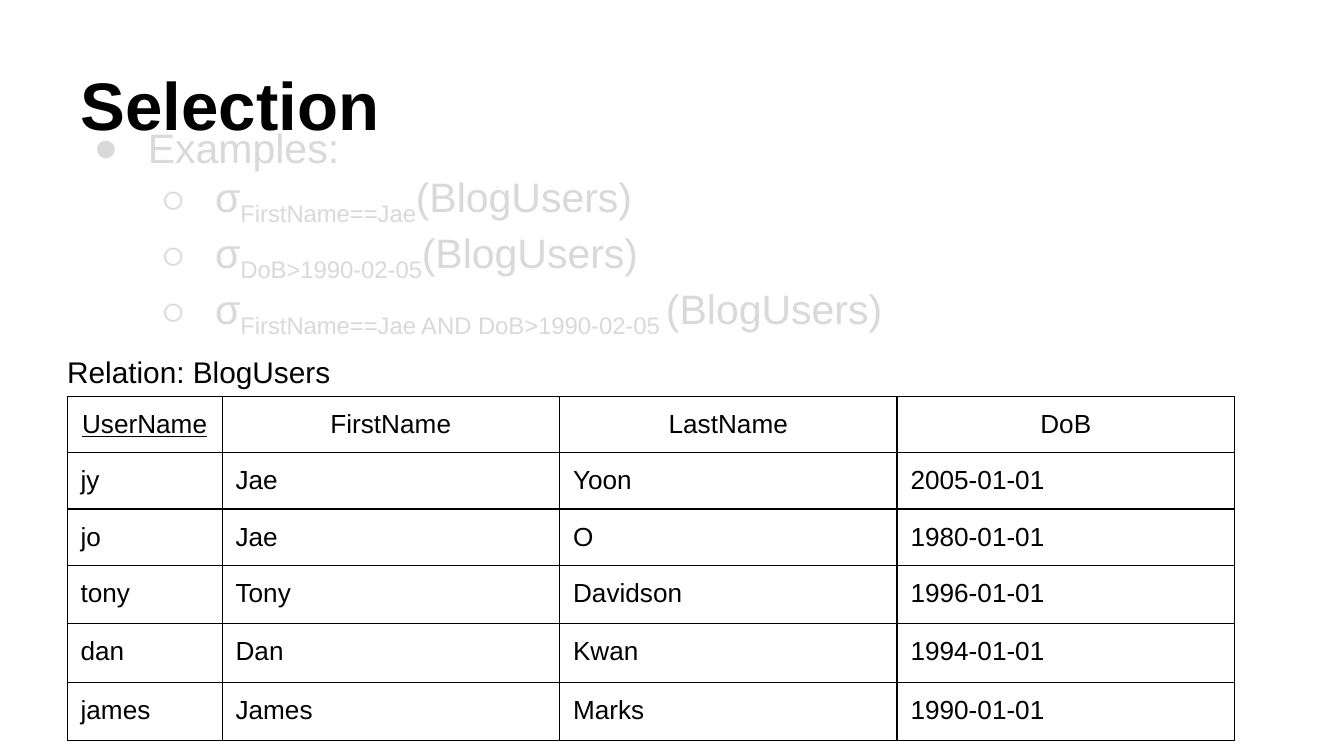
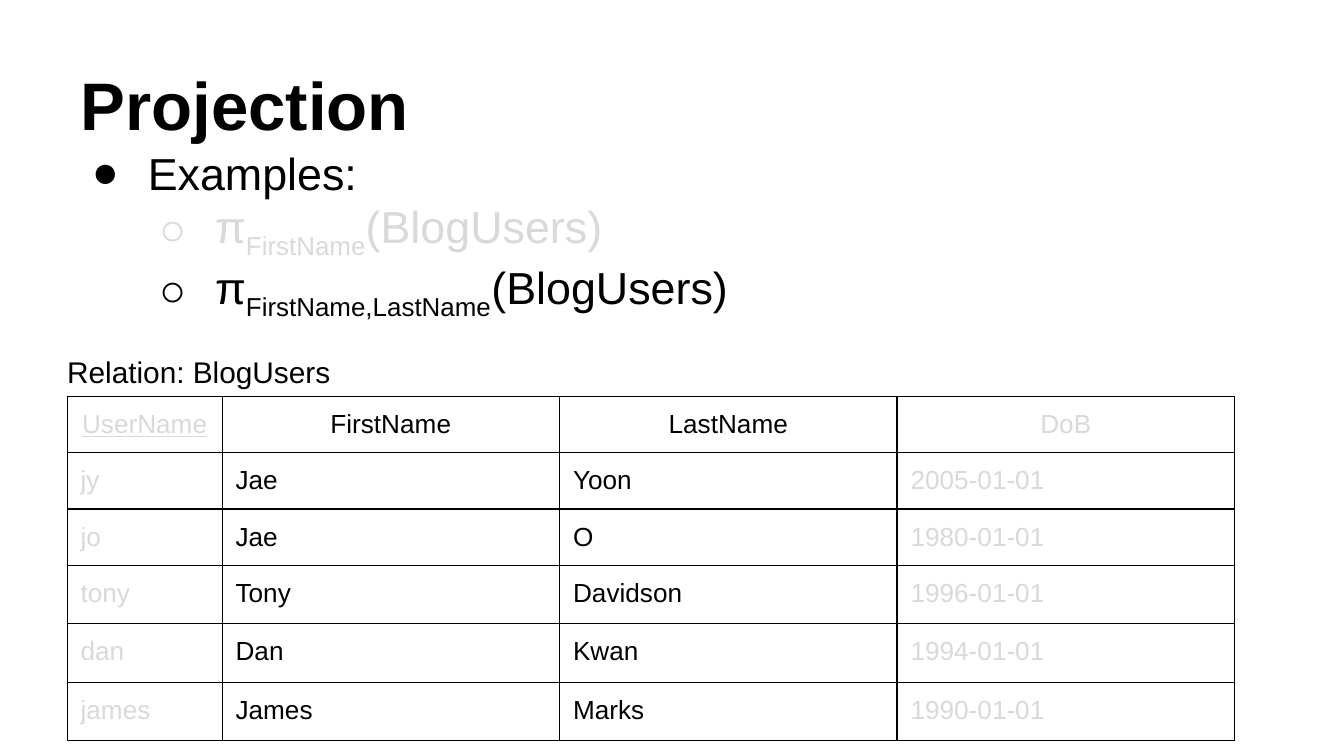
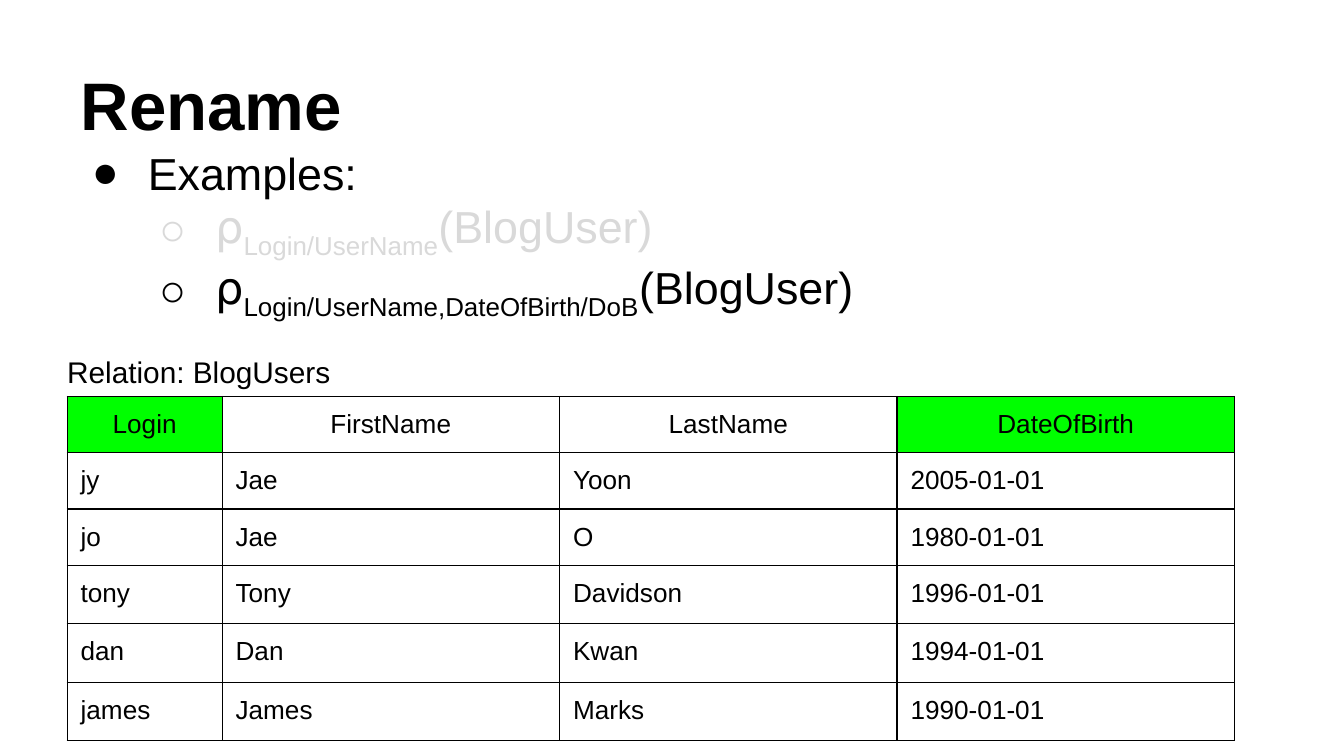
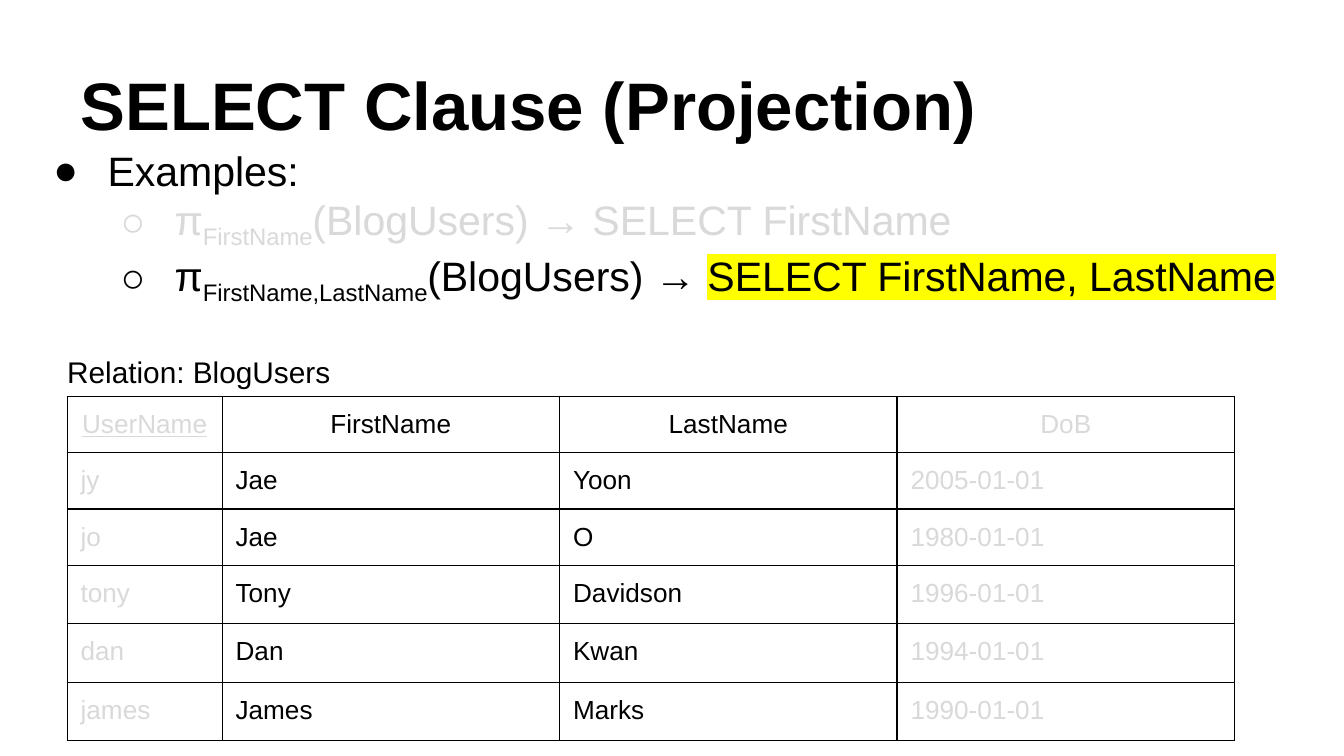
import lxml.etree
import pptx
import pptx.dml.color
import pptx.enum.text
import pptx.oxml.ns
import pptx.util

Pt = pptx.util.Pt
qn = pptx.oxml.ns.qn
Align = pptx.enum.text.PP_ALIGN
Anchor = pptx.enum.text.MSO_ANCHOR

FONT = "Arial"
BLACK, GREY, GREEN, YELLOW = "000000", "D9D9D9", "00FF00", "FFFF00"
INSET = 7.2
TITLE_BOX = (36, 16.6, 648, 67.7)
CAPTION_BOX = (28.8, 182.2, 187.2, 43.9)
TABLE_ORIGIN = (36, 212.4)
COLUMN_WIDTHS = (83, 180.8, 180.8, 180.8)
ROW_HEIGHTS = (30, 30, 30, 31.3, 31.3, 31.3)
HEADER = ("UserName", "FirstName", "LastName", "DoB")
USERS = (
    ("jy", "Jae", "Yoon", "2005-01-01"),
    ("jo", "Jae", "O", "1980-01-01"),
    ("tony", "Tony", "Davidson", "1996-01-01"),
    ("dan", "Dan", "Kwan", "1994-01-01"),
    ("james", "James", "Marks", "1990-01-01"),
)

PROJECTED = {"muted_columns": (0, 3)}
PAGES = (
    {
        "title": "Selection",
        "box": (36, 58.3, 657.4, 126),
        "size": 22,
        "lead_color": GREY,
        "list_behind": True,
        "formulas": (
            (GREY, "σ", "FirstName==Jae", "(BlogUsers)", ""),
            (GREY, "σ", "DoB>1990-02-05", "(BlogUsers)", ""),
            (GREY, "σ", "FirstName==Jae AND DoB>1990-02-05 ", "(BlogUsers)", ""),
        ),
        "table": {},
    },
    {
        "title": "Projection",
        "box": (36, 70.6, 657.4, 111.6),
        "size": 24,
        "formulas": (
            (GREY, "π", "FirstName", "(BlogUsers)", ""),
            (BLACK, "π", "FirstName,LastName", "(BlogUsers)", ""),
        ),
        "table": PROJECTED,
    },
    {
        "title": "Rename",
        "box": (36, 70.6, 657.4, 293),
        "size": 24,
        "formulas": (
            (GREY, "⍴", "Login/UserName", "(BlogUser)", ""),
            (BLACK, "⍴", "Login/UserName,DateOfBirth/DoB", "(BlogUser)", ""),
        ),
        "table": {"renamed": {0: "Login", 3: "DateOfBirth"}},
    },
    {
        "title": "SELECT Clause (Projection)",
        "box": (14.4, 70.6, 698.4, 111.6),
        "size": 22,
        "formulas": (
            (GREY, "π", "FirstName", "(BlogUsers) → SELECT FirstName", ""),
            (BLACK, "π", "FirstName,LastName", "(BlogUsers) → ",
             "SELECT FirstName, LastName"),
        ),
        "table": PROJECTED,
    },
)


def rgb(color):
    """Turn a hex string into a colour value."""
    return pptx.dml.color.RGBColor.from_string(color)


def apply(target, values):
    """Set each named attribute on the target."""
    for name, value in values.items():
        setattr(target, name, value)


def add_child(parent, tag, **attributes):
    """Append a drawing element with the given attributes."""
    return lxml.etree.SubElement(parent, qn(tag), attributes)


def add_span(para, text, size, color, **extra):
    """Add a run in the deck font and return it."""
    span = para.add_run()
    span.text = text
    span.font.color.rgb = rgb(color)
    apply(span.font, {"name": FONT, "size": Pt(size), **extra})
    return span


def set_highlight(span, color):
    """Mark a run with a background colour."""
    fill = span.font._element.find(qn("a:solidFill"))
    highlight = lxml.etree.Element(qn("a:highlight"))
    add_child(highlight, "a:srgbClr", val=color)
    fill.addnext(highlight)


def set_bullet(para, level, hanging, mark=None, color=BLACK):
    """Give a paragraph its level, indent and bullet, or none."""
    props = para._element.get_or_add_pPr()
    margin = Pt(36 * (level + 1)) if mark else 0
    props.set("marL", str(margin))
    props.set("indent", str(-Pt(hanging)))
    if mark:
        add_child(add_child(props, "a:buClr"), "a:srgbClr", val=color)
        add_child(props, "a:buFont", typeface=FONT)
        add_child(props, "a:buChar", char=mark)
    else:
        add_child(props, "a:buNone")
    apply(para, {"level": level, "space_before": Pt(0), "alignment": Align.LEFT})


def place(holder, box, anchor=Anchor.TOP):
    """Move a placeholder to its box and return its text frame."""
    apply(holder, dict(zip(("left", "top", "width", "height"), map(Pt, box))))
    sides = ("left", "top", "right", "bottom")
    apply(holder.text_frame, {
        "auto_size": pptx.enum.text.MSO_AUTO_SIZE.NONE,
        "word_wrap": True,
        "vertical_anchor": anchor,
        **{f"margin_{side}": Pt(INSET) for side in sides},
    })
    return holder.text_frame


def fill_title(holder, box, text):
    """Write the page title at the bottom of its box."""
    para = place(holder, box, Anchor.BOTTOM).paragraphs[0]
    para.alignment = Align.LEFT
    add_span(para, text, 36, BLACK, bold=True)


def fill_examples(holder, box, size, lead_color, formulas):
    """Write the list of relational algebra formulas."""
    frame = place(holder, box)
    hanging = 30 if size == 24 else 29
    lead = frame.paragraphs[0]
    set_bullet(lead, 0, hanging, "●", lead_color)
    add_span(lead, "Examples:", size, lead_color)
    for color, operator, condition, operand, marked in formulas:
        para = frame.add_paragraph()
        set_bullet(para, 1, hanging, "○", color)
        add_span(para, operator, size, color)
        subscript = add_span(para, condition, size, color)
        subscript.font._element.set("baseline", "-25000")
        add_span(para, operand, size, color)
        if marked:
            set_highlight(add_span(para, marked, size, color), YELLOW)


def fill_caption(holder, box):
    """Name the relation above its table."""
    para = place(holder, box).paragraphs[0]
    set_bullet(para, 0, 0)
    add_span(para, "Relation: BlogUsers", 16, BLACK)


def style_cell(cell, fill):
    """Give a cell its margins, thin borders and fill."""
    sides = ("left", "top", "right", "bottom")
    apply(cell, {f"margin_{side}": Pt(INSET) for side in sides})
    props = cell._tc.get_or_add_tcPr()
    for tag in ("a:lnL", "a:lnR", "a:lnT", "a:lnB"):
        line = add_child(props, tag, w=str(Pt(0.75)))
        add_child(add_child(line, "a:solidFill"), "a:srgbClr", val=BLACK)
    if fill:
        cell.fill.solid()
        cell.fill.fore_color.rgb = rgb(fill)
    else:
        cell.fill.background()


def add_relation(page, origin, muted_columns=(), renamed=None):
    """Draw the user table, with muted or renamed columns."""
    renamed = renamed or {}
    header = [renamed.get(i, name) for i, name in enumerate(HEADER)]
    rows = (header, *USERS)
    size = (sum(COLUMN_WIDTHS), sum(ROW_HEIGHTS))
    frame = page.shapes.add_table(len(rows), len(header), *map(Pt, origin + size))
    table = frame.table
    apply(table, {"first_row": False, "horz_banding": False})
    for column, width in zip(table.columns, COLUMN_WIDTHS):
        column.width = Pt(width)
    for r, (row, height) in enumerate(zip(rows, ROW_HEIGHTS)):
        table.rows[r].height = Pt(height)
        for c, text in enumerate(row):
            cell = table.cell(r, c)
            style_cell(cell, GREEN if r == 0 and c in renamed else None)
            para = cell.text_frame.paragraphs[0]
            para.alignment = Align.LEFT if r else Align.CENTER
            add_span(para, text, 14, GREY if c in muted_columns else BLACK,
                     underline=text == "UserName")


def add_page(deck, content):
    """Build one page: title, formulas, table and caption."""
    page = deck.slides.add_slide(deck.slide_layouts.get_by_name("Two Content"))
    title, examples, caption = list(page.placeholders)[:3]
    fill_title(title, TITLE_BOX, content["title"])
    fill_examples(examples, content["box"], content["size"],
                  content.get("lead_color", BLACK), content["formulas"])
    if content.get("list_behind"):
        title._element.addprevious(examples._element)
    add_relation(page, TABLE_ORIGIN, **content["table"])
    fill_caption(caption, CAPTION_BOX)
    page.shapes._spTree.append(caption._element)


def main():
    """Build and save the deck."""
    deck = pptx.Presentation()
    apply(deck, {"slide_width": Pt(720), "slide_height": Pt(405)})
    for content in PAGES:
        add_page(deck, content)
    deck.save("out.pptx")


if __name__ == "__main__":
    main()
